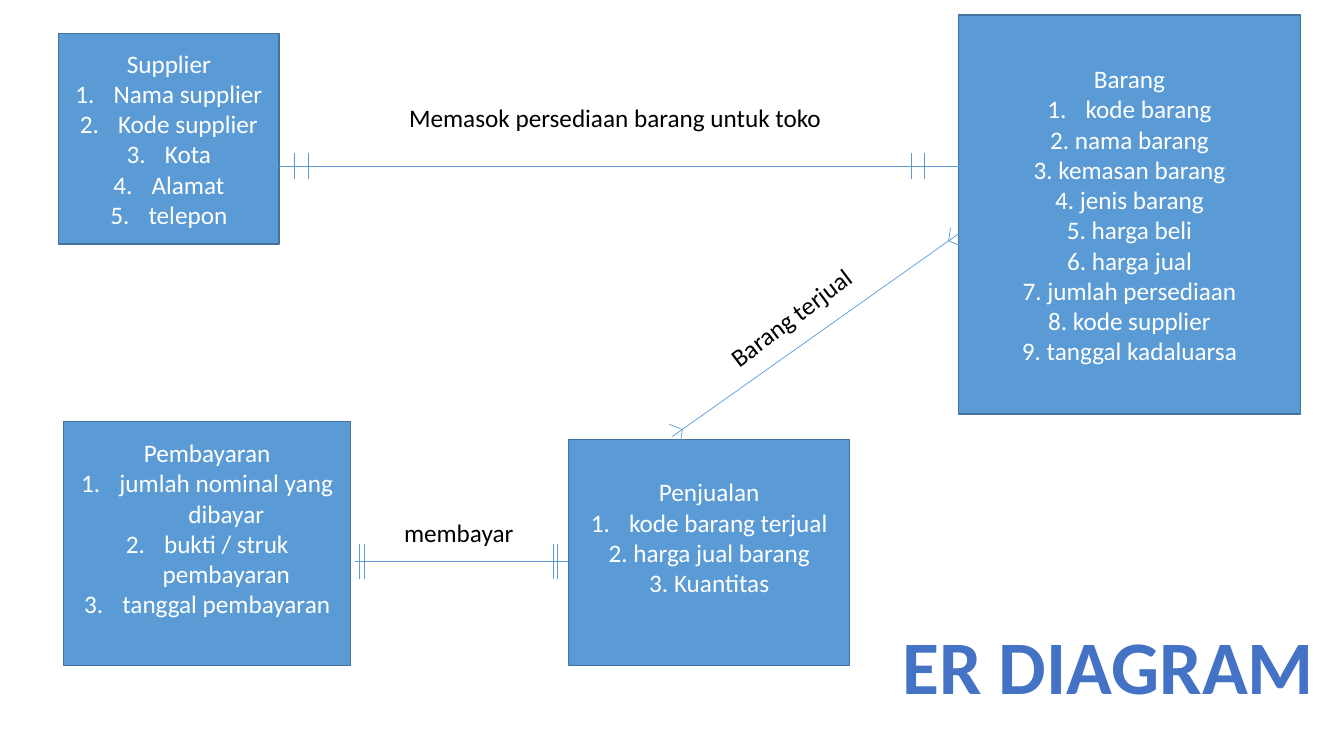
from lxml.etree import SubElement
from pptx import Presentation
from pptx.dml.color import RGBColor
from pptx.enum.shapes import MSO_CONNECTOR, MSO_SHAPE
from pptx.enum.text import MSO_ANCHOR, MSO_AUTO_SIZE, PP_ALIGN
from pptx.oxml import parse_xml
from pptx.oxml.ns import nsdecls, qn
from pptx.util import Inches, Pt

CELL = Inches(0.1)
COLS, ROWS = 133.33, 75
BLUE, EDGE, TITLE = "5B9BD5", "43739E", "4472C4"
WHITE, BLACK = "FFFFFF", "000000"


def grid(*cells):
    """Turn grid columns and rows into lengths."""
    return [round(c * CELL) for c in cells]


def rgb(hex_code):
    """Turn a hex string into a colour."""
    return RGBColor.from_string(hex_code)


def write(p, text, size=18, color=BLACK, bold=False, align=None, outline=None):
    """Write formatted text into a paragraph."""
    p.alignment = align
    r = p.add_run()
    r.text = text
    font = r.font
    font.name, font.size, font.bold = "Calibri", Pt(size), bold
    font.color.rgb = rgb(color)
    if outline:
        r._r.get_or_add_rPr().insert(0, parse_xml(
            f'<a:ln w="9525" {nsdecls("a")}><a:solidFill>'
            f'<a:srgbClr val="{outline}"/></a:solidFill></a:ln>'))


def number(p):
    """Give a paragraph an automatic number with a hanging indent."""
    pPr = p._p.get_or_add_pPr()
    pPr.set("marL", str(Inches(0.38)))
    pPr.set("indent", str(Inches(-0.38)))
    SubElement(pPr, qn("a:buFont"), typeface="+mj-lt")
    SubElement(pPr, qn("a:buAutoNum"), type="arabicPeriod")


def entity(sl, box, name, items, auto, foot=0.5):
    """Draw an entity whose first auto attributes are numbered automatically."""
    sp = sl.shapes.add_shape(MSO_SHAPE.RECTANGLE, *grid(*box))
    sp.shadow.inherit = False
    sp.fill.solid()
    sp.fill.fore_color.rgb = rgb(BLUE)
    sp.line.color.rgb, sp.line.width = rgb(EDGE), Pt(1)
    tf = sp.text_frame
    tf.word_wrap, tf.vertical_anchor = True, MSO_ANCHOR.MIDDLE
    tf.margin_bottom = grid(foot)[0]
    write(tf.paragraphs[0], name, color=WHITE, align=PP_ALIGN.CENTER)
    for i, item in enumerate(items, 1):
        p = tf.add_paragraph()
        write(p, item if i <= auto else f"{i}. {item}", color=WHITE, align=PP_ALIGN.CENTER)
        if i <= auto:
            number(p)


def label(sl, box, text, rotation=0, **style):
    """Place a one-line text, turned by rotation degrees."""
    sp = sl.shapes.add_textbox(*grid(*box))
    sp.rotation = rotation
    tf = sp.text_frame
    tf.word_wrap, tf.auto_size = False, MSO_AUTO_SIZE.SHAPE_TO_FIT_TEXT
    write(tf.paragraphs[0], text, **style)


def stroke(group, x1, y1, x2, y2):
    """Add a thin line to a group."""
    ln = group.shapes.add_connector(MSO_CONNECTOR.STRAIGHT, *grid(x1, y1, x2, y2))
    ln.line.color.rgb, ln.line.width = rgb(BLUE), Pt(0.5)
    SubElement(ln._element.spPr, qn("a:effectLst"))


def one_to_one(sl, box, ticks):
    """Draw a level relation through the middle of its box, with upright ticks."""
    x, y, w, h = box
    group = sl.shapes.add_group_shape()
    stroke(group, x, y + h / 2, x + w, y + h / 2)
    for tick in ticks:
        stroke(group, x + tick, y, x + tick, y + h)


def many_to_many(sl, box):
    """Draw a rising relation across its box, with mirrored crow's feet."""
    x, y, w, h = box
    group = sl.shapes.add_group_shape()
    stroke(group, x, y + h, x + w, y)
    for cx, cy, side in ((x + w, y, 1), (x, y + h, -1)):
        for dx, dy in ((1, -0.7), (1.3, 0.5), (0.2, -1.3)):
            stroke(group, cx + side * dx, cy + side * dy, cx, cy)


def er_diagram(prs):
    """Build the ER diagram slide."""
    sl = prs.slides.add_slide(prs.slide_layouts[6])
    entity(sl, (5.8, 3.3, 21.9, 20.9), "Supplier",
           ["Nama supplier", "Kode supplier", "Kota", "Alamat", "telepon"], 5)
    entity(sl, (95.1, 1.5, 33.9, 39.6), "Barang",
           ["kode barang", "nama barang", "kemasan barang", "jenis barang", "harga beli",
            "harga jual", "jumlah persediaan", "kode supplier", "tanggal kadaluarsa"], 1)
    entity(sl, (56.4, 43.6, 27.9, 22.4), "Penjualan",
           ["kode barang terjual", "harga jual barang", "Kuantitas"], 1, foot=3.5)
    entity(sl, (6.3, 41.8, 28.5, 24.2), "Pembayaran",
           ["jumlah nominal yang dibayar", "bukti / struk pembayaran", "tanggal pembayaran"],
           3, foot=3.5)
    label(sl, (39.6, 9.7, 43.4, 4), "Memasok persediaan barang untuk toko")
    label(sl, (70.3, 29.4, 16.4, 4), "Barang terjual", rotation=322.9)
    label(sl, (39.1, 50.8, 13, 4), "membayar")
    label(sl, (88.3, 60.9, 43.3, 10.1), "ER DIAGRAM", size=54, color=TITLE, bold=True,
          align=PP_ALIGN.CENTER, outline=WHITE)
    one_to_one(sl, (27.7, 15.2, 67.4, 2.6), (1.5, 2.9, 62.7, 64))
    many_to_many(sl, (67.7, 23.9, 26.4, 18.7))
    one_to_one(sl, (35.2, 54, 21.2, 3.4), (0.5, 0.9, 19.7, 20.1))


prs = Presentation()
prs.slide_width, prs.slide_height = grid(COLS, ROWS)
er_diagram(prs)
prs.save("out.pptx")
